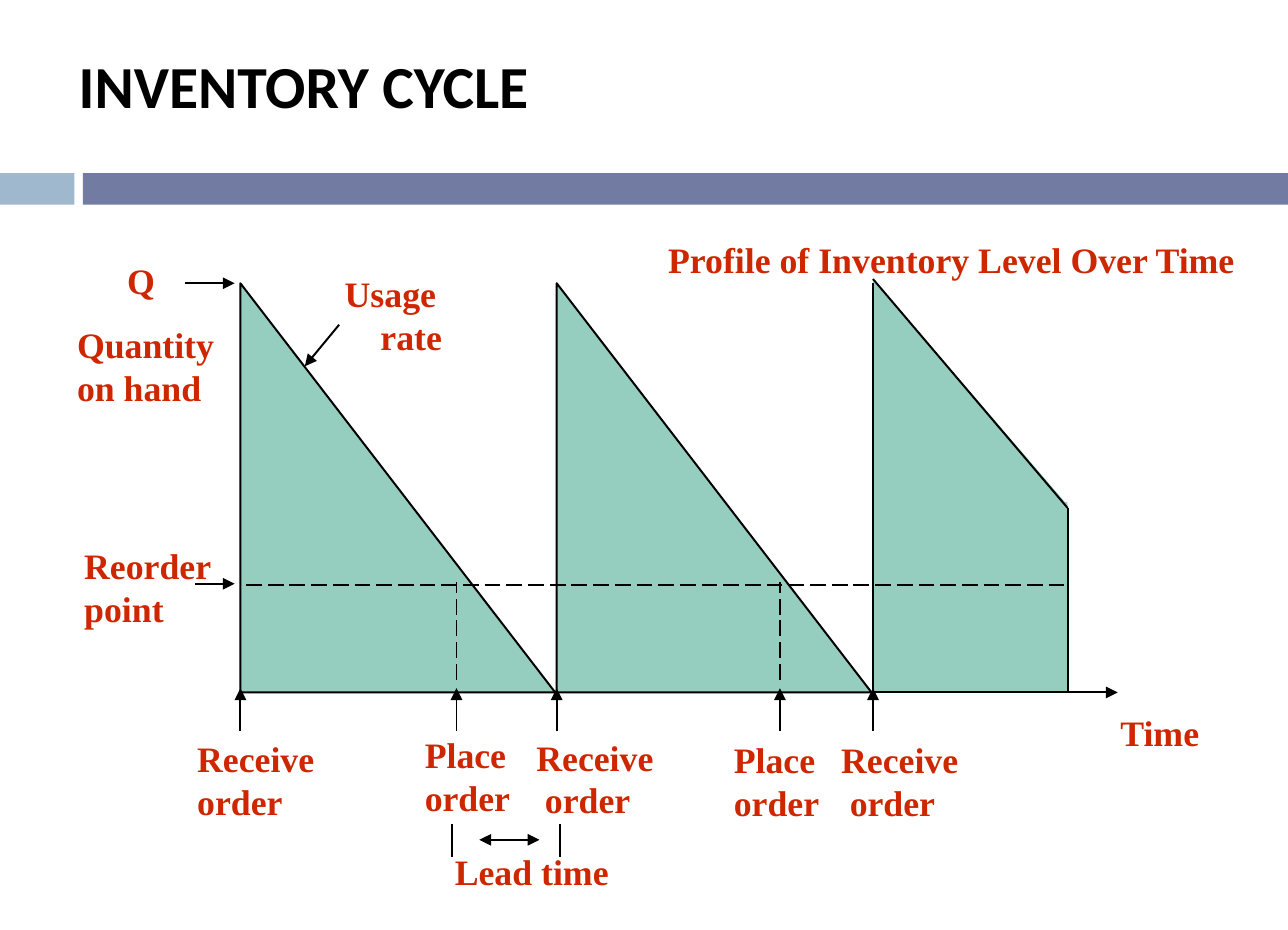
from collections import namedtuple
from lxml.etree import SubElement
from pptx import Presentation
from pptx.dml.color import RGBColor
from pptx.enum.dml import MSO_LINE
from pptx.enum.shapes import MSO_CONNECTOR, MSO_SHAPE
from pptx.enum.text import MSO_ANCHOR, PP_ALIGN
from pptx.oxml.ns import qn
from pptx.util import Inches, Pt

COLORS = {"accent": "9FB8CD", "bar": "727CA3", "stock": "95CDBE",
          "label": "CE2700", "ink": "000000"}
UNIT = 0.1
CYCLE, BASE, REORDER = 22.1, 28.6, 21.1
STARTS = [i * CYCLE for i in range(3)]
PLACES = [15.1, 37.7]
CUT_X, CUT_Y = 57.8, 15.7
Box = namedtuple("Box", "left top")


def color(name):
    """Look up a named colour."""
    return RGBColor.from_string(COLORS[name])


def spot(box, col, row):
    """Turn a grid position inside a box into slide lengths."""
    return Inches(box.left + col * UNIT), Inches(box.top + row * UNIT)


def size(cols, rows):
    """Turn a grid extent into slide lengths."""
    return Inches(cols * UNIT), Inches(rows * UNIT)


def shape(s, box, kind, at, extent, fill, outlined=False):
    """Add a flat preset shape on the grid."""
    sp = s.shapes.add_shape(kind, *spot(box, *at), *size(*extent))
    sp.shadow.inherit = False
    sp.fill.solid()
    sp.fill.fore_color.rgb = color(fill)
    if outlined:
        sp.line.color.rgb = color("ink")
        sp.line.width = Pt(1)
    else:
        sp.line.fill.background()


def line(s, box, start, end, ends=(), dashed=False):
    """Add a thin line on the grid with optional arrowheads and dashes."""
    c = s.shapes.add_connector(MSO_CONNECTOR.STRAIGHT,
                               *spot(box, *start), *spot(box, *end))
    c.line.color.rgb = color("ink")
    c.line.width = Pt(1)
    if dashed:
        c.line.dash_style = MSO_LINE.LONG_DASH
    ln = c.line._get_or_add_ln()
    for tag in ends:
        SubElement(ln, qn(f"a:{tag}"), type="triangle")
    SubElement(c._element.spPr, qn("a:effectLst"))


def label(s, box, at, width, text, indent=0):
    """Add a bold label whose last line may be indented."""
    lines = text.split("\n")
    sp = s.shapes.add_textbox(*spot(box, *at), *size(width, 1 + 3 * len(lines)))
    tf = sp.text_frame
    tf.word_wrap = False
    tf.text = text
    for p in tf.paragraphs:
        p.alignment = PP_ALIGN.LEFT
        p.font.name = "Times New Roman"
        p.font.size = Pt(18)
        p.font.bold = True
        p.font.color.rgb = color("label")
    if indent:
        tf.paragraphs[-1]._p.get_or_add_pPr().set("marL", str(Inches(indent)))


def header(s, box):
    """Place the title and the two-part bar under it."""
    shape(s, box, MSO_SHAPE.RECTANGLE, (0, 12.1), (5.2, 2.2), "accent")
    shape(s, box, MSO_SHAPE.RECTANGLE, (5.8, 12.1), (84.2, 2.2), "bar")
    sp = s.shapes.title
    sp.left, sp.top = spot(box, 4.5, 2.5)
    sp.width, sp.height = size(83.5, 6.8)
    tf = sp.text_frame
    tf.text = "INVENTORY CYCLE"
    tf.vertical_anchor = MSO_ANCHOR.MIDDLE
    p = tf.paragraphs[0]
    p.alignment = PP_ALIGN.LEFT
    p.font.name = "Calibri"
    p.font.size = Pt(30)
    p.font.bold = True
    p.font.color.rgb = color("ink")


def stock_levels(s, box):
    """Draw two full cycles, the cut-off third one and the time axis."""
    third = STARTS[2]
    width = CUT_X - third
    shape(s, box, MSO_SHAPE.RECTANGLE, (third, CUT_Y - 0.4),
          (width, BASE - CUT_Y + 0.3), "stock")
    shape(s, box, MSO_SHAPE.RIGHT_TRIANGLE, (third, -0.3),
          (width, CUT_Y + 0.1), "stock")
    line(s, box, (third, -0.3), (CUT_X, CUT_Y))
    line(s, box, (third, 0), (third, BASE))
    line(s, box, (CUT_X, CUT_Y), (CUT_X, BASE))
    for x in STARTS[:2]:
        shape(s, box, MSO_SHAPE.RIGHT_TRIANGLE, (x, 0), (22, BASE), "stock", True)
    line(s, box, (third, BASE), (61.3, BASE), ["tailEnd"])


def reorder_lines(s, box):
    """Draw the reorder level and its drops to the time axis."""
    line(s, box, (0.4, REORDER), (CUT_X, REORDER), dashed=True)
    for x in PLACES:
        line(s, box, (x, 27.7), (x, REORDER - 0.2), dashed=True)


def level_labels(s, box):
    """Name the levels, the slope and the axes."""
    for col, row in ((-3.9, 0), (-3.2, REORDER - 0.1)):
        line(s, box, (col, row), (-0.4, row), ["tailEnd"])
    line(s, box, (6.9, 2.9), (4.5, 5.8), ["tailEnd"])
    label(s, box, (28.9, -3.7), 42.5, "Profile of Inventory Level Over Time")
    label(s, box, (-8.9, -2.2), 4.5, "Q")
    label(s, box, (-12.4, 2.3), 12, "Quantity\non hand")
    label(s, box, (-11.9, 17.7), 12.4, "Reorder\npoint")
    label(s, box, (6.3, -1.3), 12.1, "Usage\nrate", 0.25)
    label(s, box, (60.5, 29.4), 8.5, "Time")


def order_marks(s, box):
    """Mark order events under the axis and the lead time between two."""
    for x in STARTS + PLACES:
        line(s, box, (x, 31.3), (x, 28.3), ["tailEnd"])
    receive, place = "Receive\norder", "Place\norder"
    for col, row, width, text, indent in [
            (-4, 31.2, 11, receive, 0), (11.9, 30.9, 9, place, 0),
            (19.7, 31.1, 11, receive, 0.06), (33.5, 31.3, 9, place, 0),
            (41, 31.3, 11, receive, 0.06)]:
        label(s, box, (col, row), width, text, indent)
    for x in (14.8, 22.3):
        line(s, box, (x, 37.8), (x, 40.1))
    line(s, box, (16.7, 38.9), (20.9, 38.9), ["headEnd", "tailEnd"])
    label(s, box, (14, 39.1), 15, "Lead time")


def main():
    """Build and save the slide."""
    prs = Presentation()
    prs.slide_width, prs.slide_height = Inches(9), Inches(6.5)
    s = prs.slides.add_slide(prs.slide_layouts[5])
    header(s, Box(0, 0))
    plot = Box(1.68, 1.98)
    for region in (stock_levels, reorder_lines, level_labels, order_marks):
        region(s, plot)
    prs.save("out.pptx")


if __name__ == "__main__":
    main()
